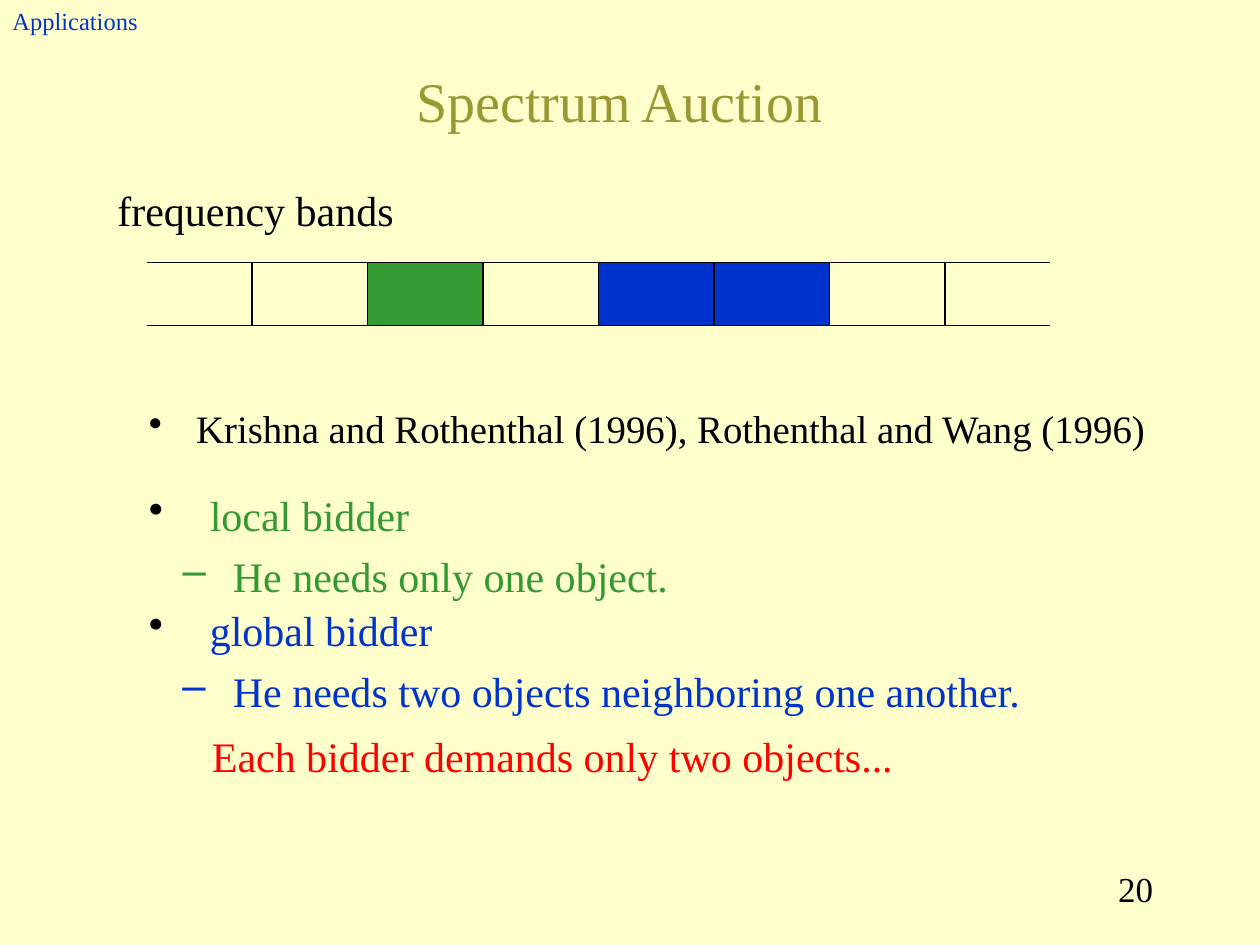
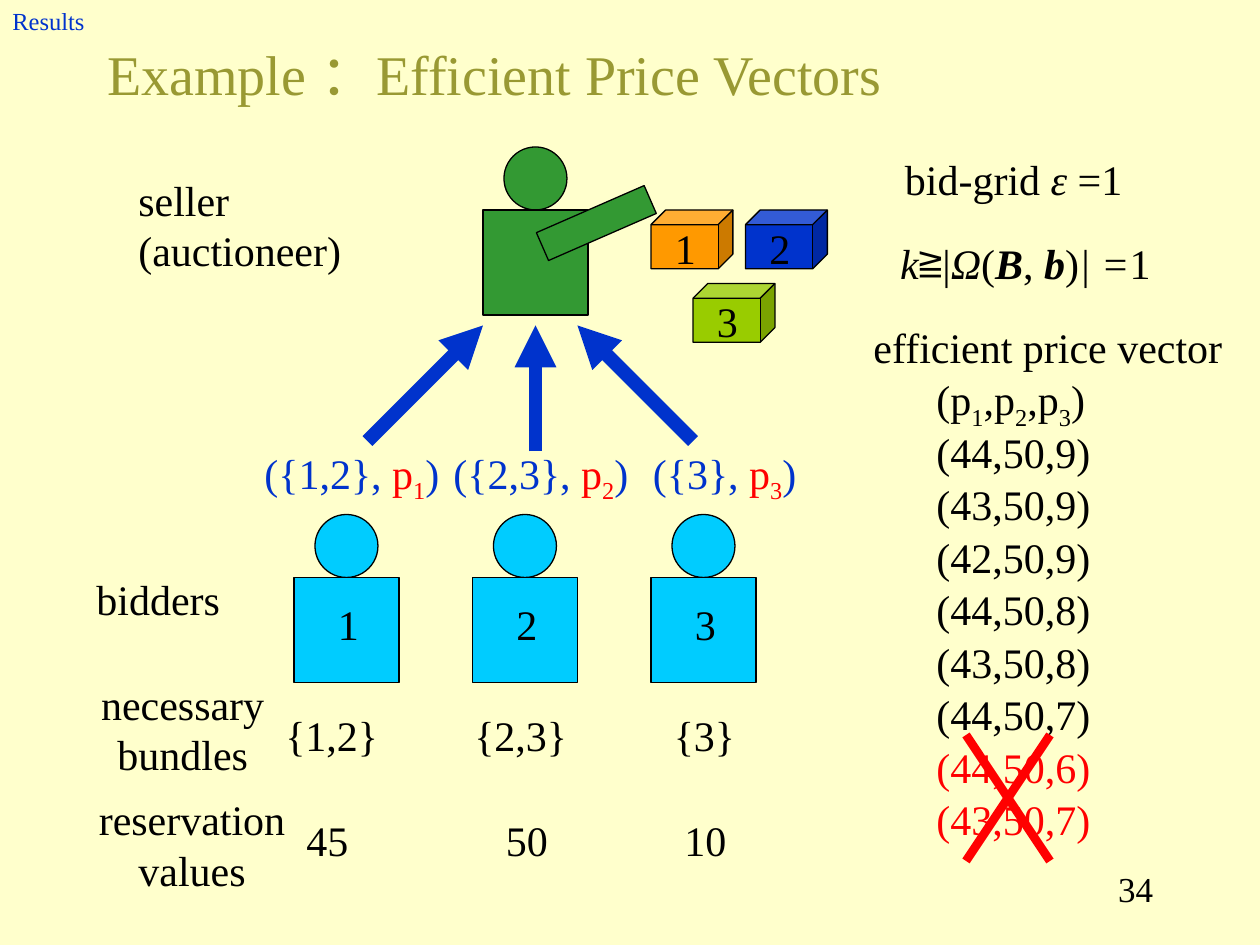
from lxml import etree
from pptx import Presentation
from pptx import util as u
from pptx.dml.color import RGBColor
from pptx.enum import shapes, text
from pptx.oxml import ns

PX = 7620
FONT = "Times New Roman"
CREAM, OLIVE, BLACK = "FFFFCC", "999933", "000000"
GREEN, BLUE, RED = "339933", "0033CC", "FF0000"
CYAN, ORANGE, LIME = "00CCFF", "FF9900", "99CC00"
LEFT, CENTER, RIGHT = text.PP_ALIGN.LEFT, text.PP_ALIGN.CENTER, text.PP_ALIGN.RIGHT
RECT, OVAL, CUBE = (shapes.MSO_SHAPE.RECTANGLE, shapes.MSO_SHAPE.OVAL,
                    shapes.MSO_SHAPE.CUBE)
rgb = RGBColor.from_string


def write(p, runs, c=BLACK, sz=24, al=LEFT):
    p.alignment = al
    for run in [(runs, "")] if isinstance(runs, str) else runs:
        r = p.add_run()
        r.text, style = run[:2]
        r.font.name, r.font.size = FONT, u.Pt(sz)
        r.font.color.rgb = rgb(run[2] if len(run) > 2 else c)
        r.font.bold, r.font.italic = "b" in style, "i" in style
        if "s" in style:
            r.font._element.set("baseline", "-25000")


def text_box(s, x, y, w, h, runs, c=BLACK, sz=24, al=LEFT):
    sp = s.shapes.add_textbox(x * PX, y * PX, w * PX, h * PX)
    tf = sp.text_frame
    tf.word_wrap = True
    write(tf.paragraphs[0], runs, c, sz, al)
    return tf


prs = Presentation()
prs.slide_width, prs.slide_height = 1200 * PX, 900 * PX
fill = prs.slide_master.background.fill
fill.solid()
fill.fore_color.rgb = rgb(CREAM)

slides = []
for section, number, title, (x, y, w, h), al in [
    ("Applications", "20", "Spectrum Auction", (80, 40, 1020, 110), CENTER),
    ("Results", "34", "Example ：Efficient Price Vectors", (90, 20, 1020, 100), LEFT),
]:
    s = prs.slides.add_slide(prs.slide_layouts[5])
    sp = s.shapes.title
    sp.left, sp.top, sp.width, sp.height = x * PX, y * PX, w * PX, h * PX
    tf = sp.text_frame
    tf.vertical_anchor = text.MSO_ANCHOR.MIDDLE
    write(tf.paragraphs[0], title, OLIVE, 32, al)
    tf = text_box(s, 0, 0, 430, 40, section, BLUE, 14)
    tf.vertical_anchor = text.MSO_ANCHOR.MIDDLE
    text_box(s, 860, 820, 250, 60, number, sz=20, al=RIGHT)
    slides.append(s)
auction, example = slides

cubes = [("1", 620, 200, ORANGE), ("2", 710, 200, BLUE), ("3", 660, 270, LIME)]
bidders = [("1", 280), ("2", 450), ("3", 620)]
people = [(460, 140, GREEN)] + [(x, 490, CYAN) for name, x in bidders]

drawn = [(auction, RECT, 240 + 110 * i, 250, 110, 60, c, 0)
         for i, c in enumerate([None, GREEN, None, BLUE, BLUE, None])]
drawn += [(example, CUBE, x, y, 78, 56, c, 0) for name, x, y, c in cubes]
for x, y, c in people:
    drawn.append((example, OVAL, x + 20, y, 60, 60, c, 0))
    drawn.append((example, RECT, x, y + 60, 100, 100, c, 0))
drawn.append((example, RECT, 512, 198, 112, 29, GREEN, 336.4))

for s, kind, x, y, w, h, c, rotation in drawn:
    sp = s.shapes.add_shape(kind, x * PX, y * PX, w * PX, h * PX)
    sp.shadow.inherit = False
    sp.rotation = rotation
    sp.line.color.rgb, sp.line.width = rgb(BLACK), u.Pt(0.75)
    if c:
        sp.fill.solid()
        sp.fill.fore_color.rgb = rgb(c)
    else:
        sp.fill.background()

text_box(auction, 100, 170, 310, 60, "frequency bands")
text_box(auction, 190, 690, 690, 60, "Each bidder demands only two objects...", RED)

for x, y, w, h, sz, items in [
    (130, 380, 1070, 60, 22.2,
     [("•", 45, 45, BLACK, BLACK,
       "Krishna and Rothenthal (1996), Rothenthal and Wang (1996)")]),
    (130, 460, 620, 119, 24,
     [("•", 58, 58, BLACK, GREEN, "local bidder"),
      ("–", 80, 48, GREEN, GREEN, "He needs only one object.")]),
    (130, 570, 910, 119, 24,
     [("•", 58, 58, BLACK, BLUE, "global bidder"),
      ("–", 80, 48, BLUE, BLUE, "He needs two objects neighboring one another.")]),
]:
    tf = text_box(auction, x, y, w, h, [])
    for i, (bullet, margin, hang, bullet_c, c, words) in enumerate(items):
        p = tf.add_paragraph() if i else tf.paragraphs[0]
        if i:
            p.space_before = u.Pt(6)
        pPr = p._p.get_or_add_pPr()
        pPr.set("marL", str(margin * PX))
        pPr.set("indent", str(-hang * PX))
        buClr = etree.SubElement(pPr, ns.qn("a:buClr"))
        etree.SubElement(buClr, ns.qn("a:srgbClr")).set("val", bullet_c)
        etree.SubElement(pPr, ns.qn("a:buChar")).set("char", bullet)
        write(p, words, c, sz)

for x, y, w, h, words, al in [
    (120, 160, 245, 108, "seller (auctioneer)", LEFT),
    (80, 540, 152, 60, "bidders", LEFT),
    (80, 640, 188, 108, "necessary bundles", CENTER),
    (80, 750, 206, 108, "reservation values", CENTER),
    (820, 300, 380, 60, "efficient price vector", LEFT),
    (850, 140, 290, 60, [("bid-grid ", ""), ("ε", "i"), (" =1", "")], LEFT),
    (835, 220, 283, 60,
     [("k", "i"), ("≧|", ""), ("Ω", "i"), ("(", ""), ("B", "bi"), (", ", ""),
      ("b", "bi"), (")", ""), ("| =", "i"), ("1", "")], CENTER),
    (880, 350, 200, 67,
     [("(p", ""), ("1", "s"), (",p", ""), ("2", "s"), (",p", ""), ("3", "s"),
      (")", "")], LEFT),
]:
    text_box(example, x, y, w, h, words, al=al)

for name, x, y, c in cubes:
    text_box(example, x + 11, y + 6, 41, 60, name)
for name, x in bidders:
    text_box(example, x + 30, 564, 49, 60, name)

for name, bundle, value, bid_x, bundle_x, value_x in [
    ("1", "{1,2}", "45", 240, 260, 280),
    ("2", "{2,3}", "50", 420, 440, 470),
    ("3", "{3}", "10", 610, 630, 640),
]:
    text_box(example, bid_x, 420, 200, 67,
             [(f"({bundle}, ", ""), ("p", "", RED), (name, "s", RED), (")", "")], BLUE)
    text_box(example, bundle_x, 670, 130, 60, bundle)
    text_box(example, value_x, 770, 76, 60, value)

prices = ["(44,50,9)", "(43,50,9)", "(42,50,9)", "(44,50,8)",
          "(43,50,8)", "(44,50,7)", "(44,50,6)", "(43,50,7)"]
for i, price in enumerate(prices):
    text_box(example, 880, 400 + 50 * i, 210, 60, price, RED if i >= 6 else BLACK)

lines = [(auction, x, y, x + 100, y, BLACK, 0.75, False)
         for x in (140, 900) for y in (250, 310)]
lines += [(example, x1, y1, x2, 310, BLUE, 8, True)
          for x1, y1, x2 in [(350, 420, 460), (510, 430, 510), (660, 420, 550)]]
lines += [(example, x1, 700, x2, 820, RED, 5, False)
          for x1, x2 in [(1000, 920), (920, 1000)]]
for s, x1, y1, x2, y2, c, width, arrow in lines:
    sp = s.shapes.add_connector(shapes.MSO_CONNECTOR.STRAIGHT,
                                x1 * PX, y1 * PX, x2 * PX, y2 * PX)
    sp.line.color.rgb, sp.line.width = rgb(c), u.Pt(width)
    if arrow:
        ln = sp.line._get_or_add_ln()
        etree.SubElement(ln, ns.qn("a:tailEnd")).set("type", "triangle")
    etree.SubElement(sp._element.spPr, ns.qn("a:effectLst"))

prs.save("out.pptx")
